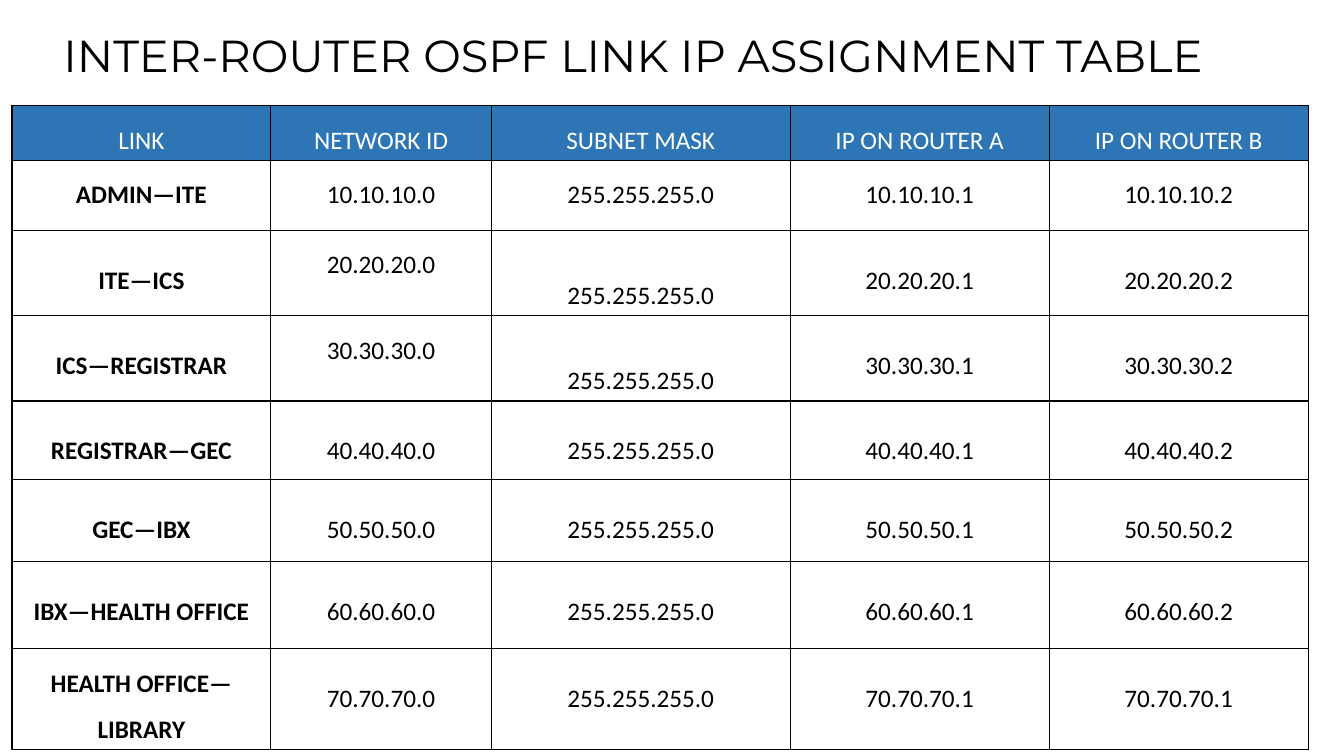
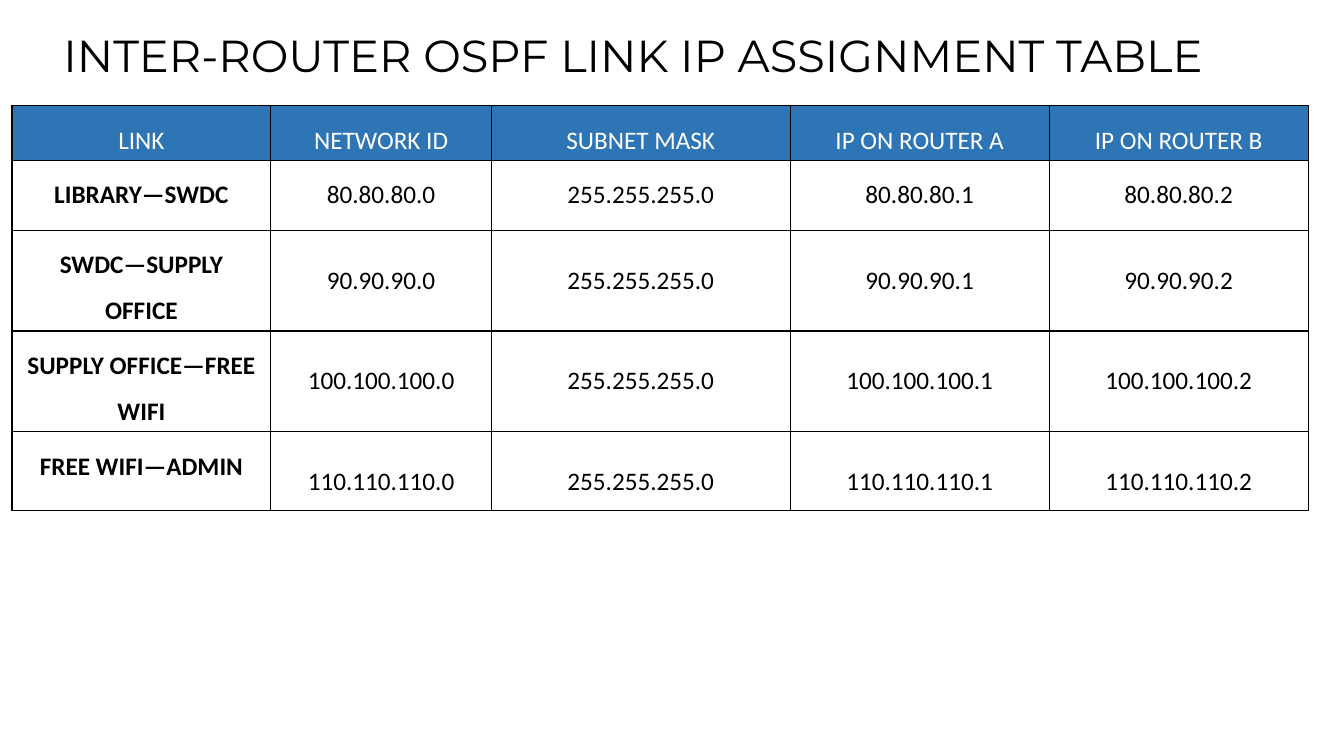
"""Build two slides that tabulate the IP addresses of inter-router OSPF links."""
from dataclasses import dataclass

from lxml.etree import SubElement
from pptx import Presentation
from pptx.dml.color import RGBColor as RGB
from pptx.enum.text import MSO_ANCHOR as ANCHOR, MSO_AUTO_SIZE as FIT, PP_ALIGN as ALIGN
from pptx.oxml.ns import qn
from pptx.util import Pt


@dataclass(frozen=True)
class Theme:
    black: RGB = RGB(0, 0, 0)
    white: RGB = RGB(255, 255, 255)
    header: RGB = RGB(0x2E, 0x75, 0xB6)
    title_font: str = "Montserrat"
    body_font: str = "Calibri"
    title_size: int = Pt(32)
    body_size: int = Pt(18)
    border: int = Pt(1)


theme = Theme()


def set_text(tf, text, align, spacing, font, color):
    p = tf.paragraphs[0]
    p.alignment, p.line_spacing = align, spacing
    r = p.add_run()
    r.text = text
    for name, value in font.items():
        setattr(r.font, name, value)
    r.font.color.rgb = color


def set_cell(cell, text, spacing, color, fill, bold):
    tc_pr = cell._tc.get_or_add_tcPr()
    for side in ("lnL", "lnR", "lnT", "lnB"):
        line = SubElement(tc_pr, qn(f"a:{side}"), w=str(theme.border))
        solid = SubElement(line, qn("a:solidFill"))
        SubElement(solid, qn("a:srgbClr"), val=str(theme.black))
    if fill is None:
        cell.fill.background()
    else:
        cell.fill.solid()
        cell.fill.fore_color.rgb = fill
    cell.margin_top = cell.margin_bottom = Pt(3)
    font = {"name": theme.body_font, "size": theme.body_size, "bold": bold}
    set_text(cell.text_frame, text, ALIGN.CENTER, spacing, font, color)


TITLE = "INTER-ROUTER OSPF LINK IP ASSIGNMENT TABLE"
HEADINGS = ("LINK", "NETWORK ID", "SUBNET MASK", "IP ON ROUTER A", "IP ON ROUTER B")
MASK = "255.255.255.0"
WIDTHS = (185, 157.5, 213.5, 185, 185)
HEADER_HEIGHT = 39
SINGLE = (1.5,) * 5
DOUBLE = (2,) * 5
STAGGERED = (2, 1.5, 2.5, 2, 2)
LINK_TIGHT = (1.5, 2, 2, 2, 2)

# Each link: name, repeated octet, host on router B, row height, line spacings
SLIDES = (
    (
        ("ADMIN—ITE", 10, 2, 50, SINGLE),
        ("ITE—ICS", 20, 2, 61, STAGGERED),
        ("ICS—REGISTRAR", 30, 2, 61, STAGGERED),
        ("REGISTRAR—GEC", 40, 2, 56, DOUBLE),
        ("GEC—IBX", 50, 2, 59, DOUBLE),
        ("IBX—HEALTH OFFICE", 60, 2, 62, DOUBLE),
        ("HEALTH OFFICE—LIBRARY", 70, 1, 72, LINK_TIGHT),
    ),
    (
        ("LIBRARY—SWDC", 80, 2, 50, SINGLE),
        ("SWDC—SUPPLY OFFICE", 90, 2, 72, LINK_TIGHT),
        ("SUPPLY OFFICE—FREE WIFI", 100, 2, 72, LINK_TIGHT),
        ("FREE WIFI—ADMIN", 110, 2, 56, LINK_TIGHT),
    ),
)

prs = Presentation()
prs.slide_width, prs.slide_height = Pt(960), Pt(540)

for links in SLIDES:
    s = prs.slides.add_slide(prs.slide_layouts[5])
    title = s.shapes.title
    box = {"left": 38, "top": 16.5, "width": 943, "height": 46}
    for name, value in box.items():
        setattr(title, name, Pt(value))
    tf = title.text_frame
    tf.auto_size, tf.vertical_anchor, tf.word_wrap = FIT.NONE, ANCHOR.TOP, True
    font = {"name": theme.title_font, "size": theme.title_size}
    set_text(tf, TITLE, ALIGN.LEFT, 1.0, font, theme.black)

    heights = [HEADER_HEIGHT] + [link[3] for link in links]
    table = s.shapes.add_table(
        len(heights), len(WIDTHS), Pt(8.5), Pt(75.5), Pt(sum(WIDTHS)), Pt(sum(heights))
    ).table
    table.horz_banding = False
    for column, width in zip(table.columns, WIDTHS):
        column.width = Pt(width)
    for row, height in zip(table.rows, heights):
        row.height = Pt(height)

    for cell, heading in zip(table.rows[0].cells, HEADINGS):
        set_cell(cell, heading, 1.5, theme.white, theme.header, False)
    for i, (name, octet, host_b, _, spacings) in enumerate(links, 1):
        network, router_a, router_b = (
            f"{octet}.{octet}.{octet}.{host}" for host in (0, 1, host_b)
        )
        texts = (name, network, MASK, router_a, router_b)
        for j, (text, spacing) in enumerate(zip(texts, spacings)):
            set_cell(table.cell(i, j), text, spacing, theme.black, None, j == 0)

prs.save("out.pptx")
